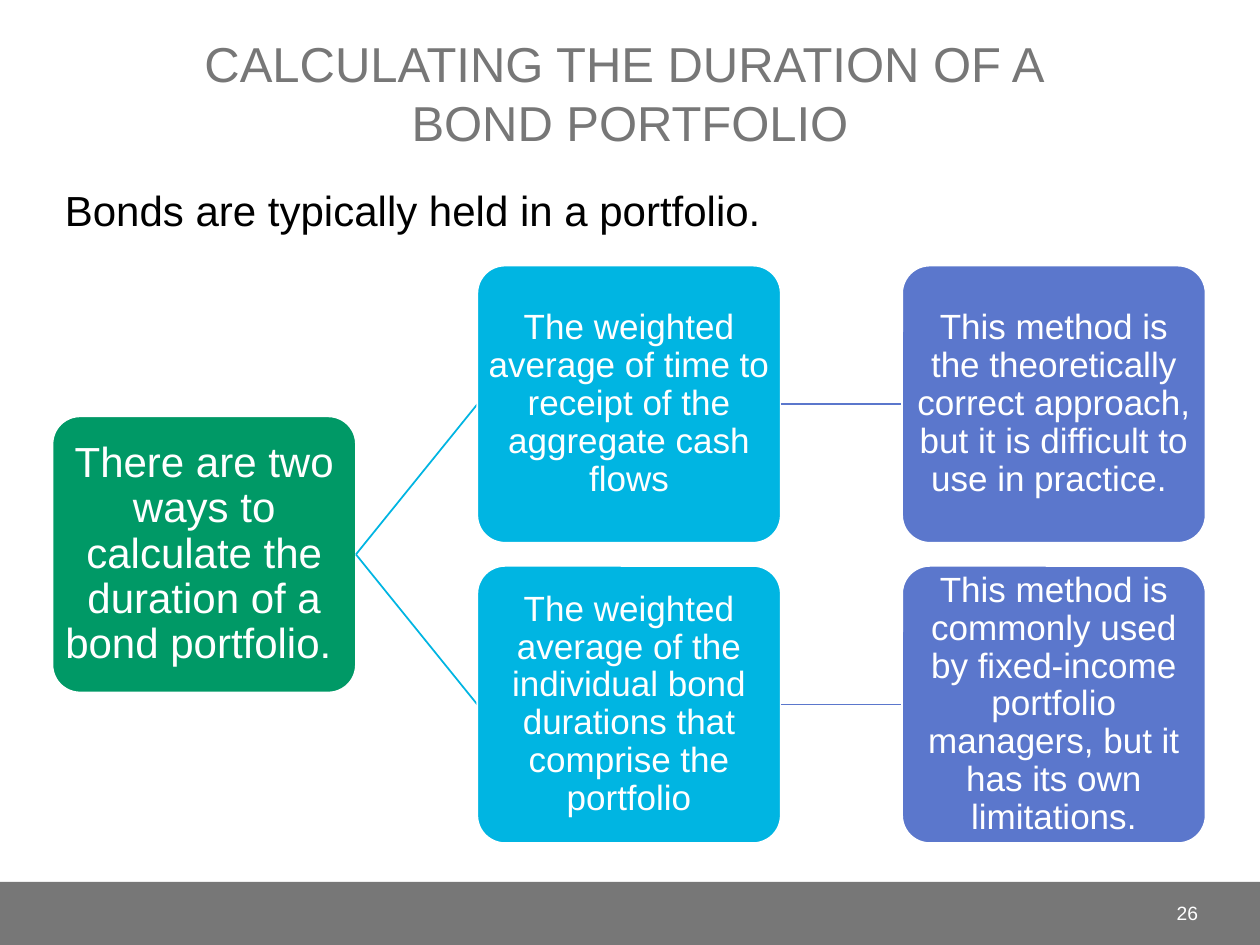
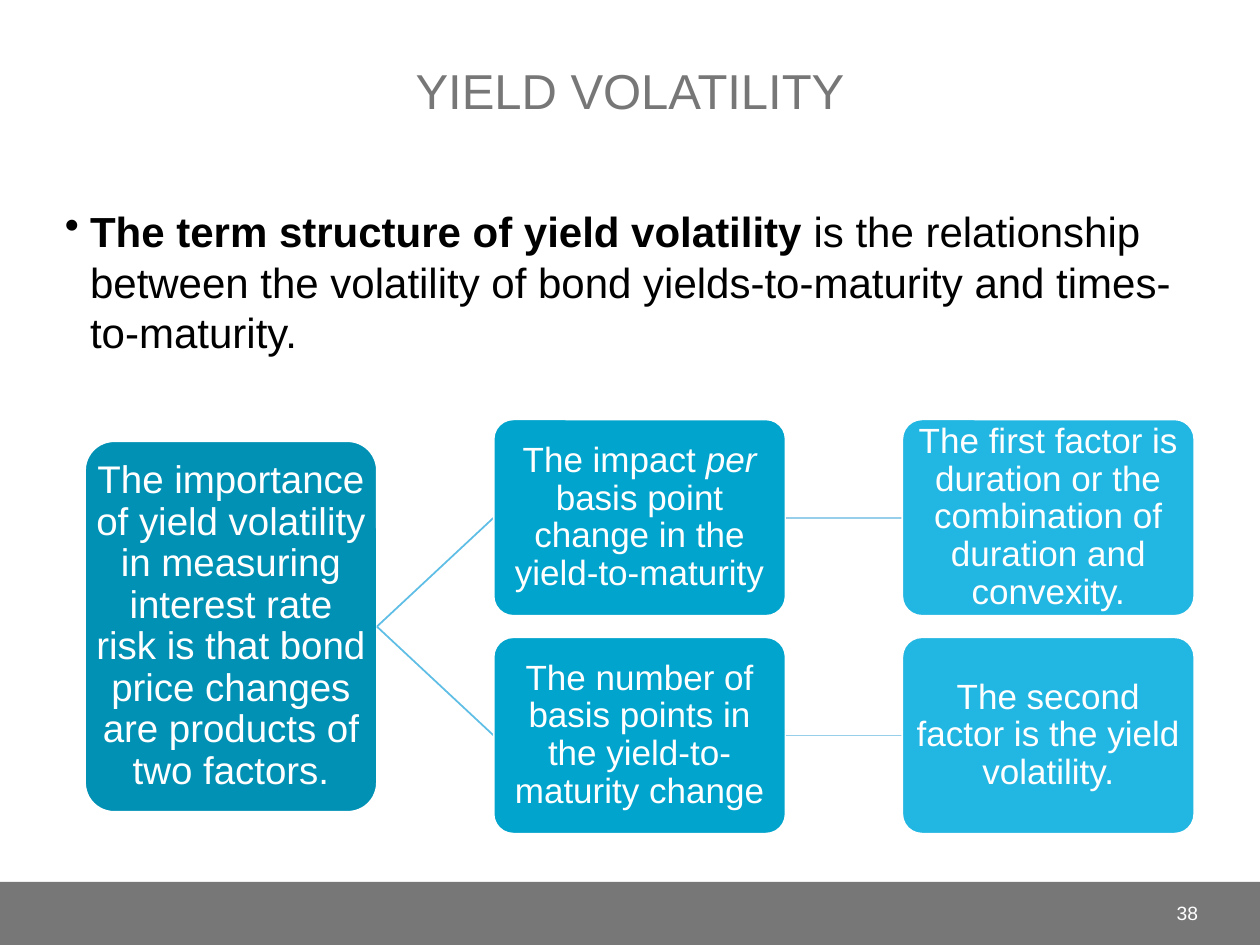
from dataclasses import dataclass
from typing import NamedTuple

from lxml import etree
from pptx import Presentation, dml, util as u
from pptx.dml import color
from pptx.enum import shapes, text
from pptx.oxml import ns

COLS, ROWS = 120, 90
WIDE, HIGH = u.Inches(10), u.Inches(7.5)
FONT = "Arial"
GREY, WHITE, BLACK = "777777", "FFFFFF", "000000"
ALIGN, ANCHOR = text.PP_ALIGN, text.MSO_ANCHOR
GAP = 0.4


class Span(NamedTuple):
    text: str
    bold: bool = False
    slant: bool = False


class Area(NamedTuple):
    col: float
    row: float
    cols: float
    rows: float

    def place(self) -> tuple[int, int, int, int]:
        return (across(self.col), down(self.row),
                across(self.cols), down(self.rows))

    def left(self) -> tuple[int, int]:
        return across(self.col), down(self.row + self.rows / 2)

    def right(self) -> tuple[int, int]:
        return across(self.col + self.cols), down(self.row + self.rows / 2)


class Type(NamedTuple):
    size: float
    ink: str = WHITE
    align: ALIGN = ALIGN.CENTER
    anchor: ANCHOR = ANCHOR.MIDDLE


TITLE = Type(28, GREY, ALIGN.CENTER, ANCHOR.BOTTOM)
BODY = Type(24, BLACK, ALIGN.LEFT, ANCHOR.TOP)
NUMBER = Type(11, WHITE, ALIGN.RIGHT)
LEAF = Type(20)


@dataclass
class Branch:
    method: list[Span]
    remark: list[Span]


@dataclass
class Tree:
    col: float
    row: float
    cols: float
    rows: float
    step: float
    tall: float
    size: float
    root: list[Span]
    fills: tuple[str, str, str]
    lines: tuple[str, str]
    limbs: list[Branch]

    def cell(self, rank: int, index: int) -> Area:
        return Area(self.col + rank * self.cols * (1 + GAP),
                    self.row + index * self.step, self.cols, self.rows)

    def trunk(self) -> Area:
        span = self.step * (len(self.limbs) - 1) + self.rows
        top = self.row + (span - self.tall) / 2
        return Area(self.col, top, self.cols, self.tall)


@dataclass
class Page:
    title: str
    base: float
    start: float
    body: list[Span]
    dotted: bool
    number: str
    tree: Tree


def across(cols: float) -> int:
    return round(WIDE * cols / COLS)


def down(rows: float) -> int:
    return round(HIGH * rows / ROWS)


def paint(item, code: str) -> None:
    if isinstance(item, dml.fill.FillFormat):
        item.solid()
        item = item.fore_color
    item.rgb = color.RGBColor.from_string(code)


def style(frame, kind: Type) -> None:
    frame.word_wrap = True
    frame.auto_size = text.MSO_AUTO_SIZE.NONE
    frame.vertical_anchor = kind.anchor
    for para in frame.paragraphs:
        para.alignment = kind.align
        for run in para.runs:
            run.font.name = FONT
            run.font.size = u.Pt(kind.size)
            paint(run.font.color, kind.ink)


def write(frame, spans: list[Span], kind: Type) -> None:
    para = frame.paragraphs[0]
    for span in spans:
        run = para.add_run()
        run.text = span.text
        run.font.bold = span.bold
        run.font.italic = span.slant
    style(frame, kind)


def label(slide, area: Area, spans: list[Span], kind: Type):
    frame = slide.shapes.add_textbox(*area.place()).text_frame
    write(frame, spans, kind)
    return frame


def dot(para) -> None:
    props = para._p.get_or_add_pPr()
    props.set("marL", str(u.Inches(0.2)))
    props.set("indent", str(-u.Inches(0.2)))
    mark = etree.SubElement(props, ns.qn("a:buChar"))
    mark.set("char", "•")


def block(slide, form: shapes.MSO_SHAPE, area: Area, fill: str):
    shape = slide.shapes.add_shape(form, *area.place())
    shape.shadow.inherit = False
    paint(shape.fill, fill)
    shape.line.fill.background()
    return shape


def box(slide, area: Area, fill: str, spans: list[Span], kind: Type) -> None:
    shape = block(slide, shapes.MSO_SHAPE.ROUNDED_RECTANGLE, area, fill)
    shape.adjustments[0] = 0.1
    paint(shape.line.fill, WHITE)
    shape.line.width = u.Pt(1)
    frame = shape.text_frame
    frame.margin_left = frame.margin_right = u.Inches(0.01)
    frame.margin_top = frame.margin_bottom = u.Inches(0.01)
    write(frame, spans, kind)
    frame.paragraphs[0].line_spacing = 0.9


def link(slide, start: Area, end: Area, ink: str) -> None:
    line = slide.shapes.add_connector(
        shapes.MSO_CONNECTOR.STRAIGHT, *start.right(), *end.left())
    paint(line.line.fill, ink)
    line.line.width = u.Pt(1)
    etree.SubElement(line._element.spPr, ns.qn("a:effectLst"))


def draw(slide, tree: Tree) -> None:
    trunk = tree.trunk()
    box(slide, trunk, tree.fills[0], tree.root, Type(tree.size))
    for index, limb in enumerate(tree.limbs):
        prior = trunk
        for rank, spans in enumerate((limb.method, limb.remark), 1):
            area = tree.cell(rank, index)
            link(slide, prior, area, tree.lines[rank - 1])
            box(slide, area, tree.fills[rank], spans, LEAF)
            prior = area


def build(deck, page: Page) -> None:
    slide = deck.slides.add_slide(deck.slide_layouts[5])
    block(slide, shapes.MSO_SHAPE.RECTANGLE, Area(0, 84, COLS, 6), GREY)
    title = slide.shapes.title
    place = Area(5, 2, 110, page.base - 2).place()
    title.left, title.top, title.width, title.height = place
    title.text_frame.text = page.title
    style(title.text_frame, TITLE)
    area = Area(5, page.start, 110, 81 - page.start)
    body = label(slide, area, page.body, BODY)
    if page.dotted:
        dot(body.paragraphs[0])
    label(slide, Area(105, 84.5, 10.3, 4.8), [Span(page.number)], NUMBER)
    draw(slide, page.tree)


PAGES = [
    Page(
        "CALCULATING THE DURATION OF A \vBOND PORTFOLIO", 15, 17,
        [Span("Bonds are typically held in a portfolio.")], False, "26",
        Tree(
            5, 25.3, 28.9, 26.4, 28.6, 26.3, 24,
            [Span("There are two ways to calculate the duration of a "
                  "bond portfolio. ")],
            ("009966", "00B5E2", "5B77CC"), ("00B5E2", "5B77CC"),
            [
                Branch(
                    [Span("The weighted average of time to receipt of the "
                          "aggregate cash flows")],
                    [Span("This method is the theoretically correct "
                          "approach, but it is difficult to use in "
                          "practice. ")]),
                Branch(
                    [Span("The weighted average of the individual bond "
                          "durations that comprise the portfolio")],
                    [Span("This method is commonly used by fixed-income "
                          "portfolio managers, but it has its own "
                          "limitations.")]),
            ])),
    Page(
        "YIELD VOLATILITY", 12, 19,
        [Span("The term structure of yield volatility", bold=True),
         Span(" is the relationship between the volatility of bond "
              "yields-to-maturity and times-to-maturity.")], True, "38",
        Tree(
            8.1, 39.95, 27.8, 18.7, 20.75, 35.3, 22,
            [Span("The importance of yield volatility in measuring interest "
                  "rate risk is that bond price changes are products of "
                  "two factors.")],
            ("0091B5", "00A4CD", "22B6E2"), ("5EBEE5", "97CFEB"),
            [
                Branch(
                    [Span("The impact "), Span("per", slant=True),
                     Span(" basis point change in the yield-to-maturity")],
                    [Span("The first factor is duration or the combination "
                          "of duration and convexity.")]),
                Branch(
                    [Span("The number of basis points in the "
                          "yield-to-maturity change")],
                    [Span("The second factor is the yield volatility.")]),
            ])),
]


def main() -> None:
    deck = Presentation()
    deck.slide_width, deck.slide_height = WIDE, HIGH
    for page in PAGES:
        build(deck, page)
    deck.save("out.pptx")


if __name__ == "__main__":
    main()
